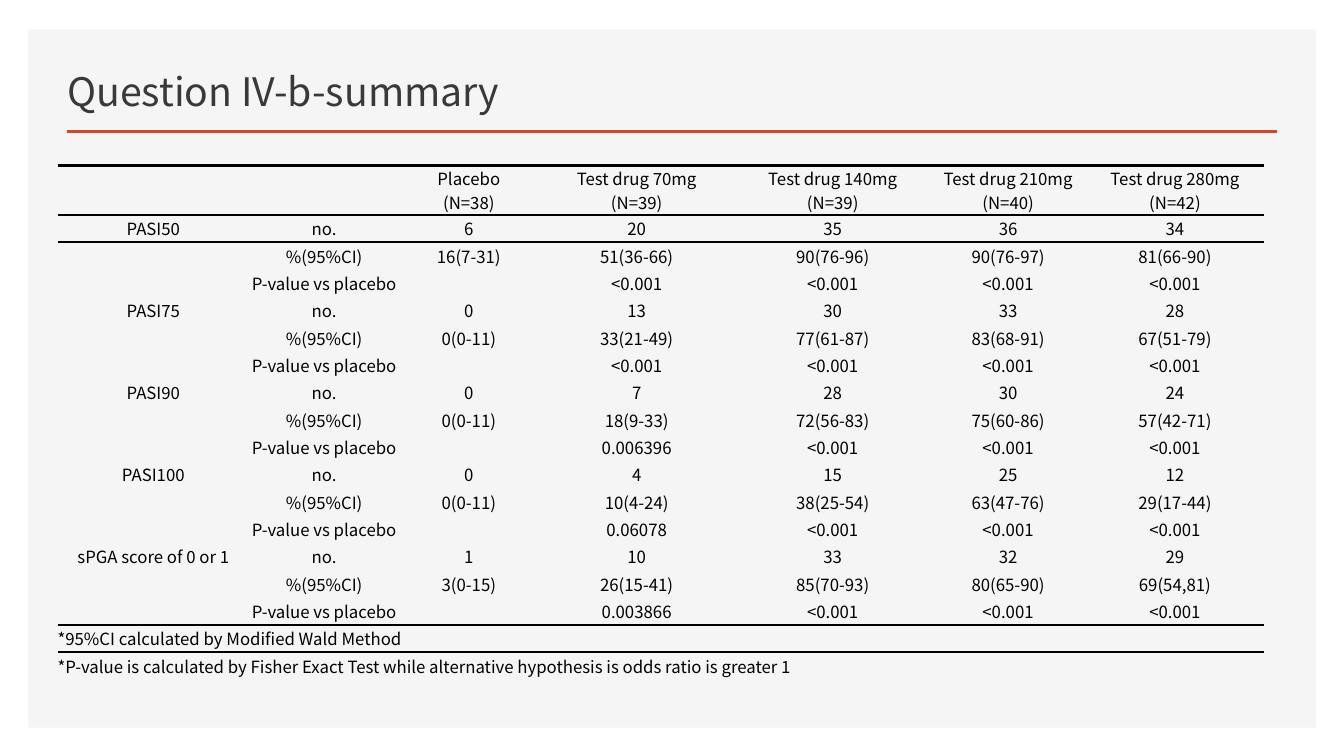
from dataclasses import dataclass

from lxml.etree import SubElement
from pptx import Presentation
from pptx.dml.color import RGBColor
from pptx.enum.shapes import MSO_CONNECTOR, MSO_SHAPE
from pptx.enum.text import MSO_ANCHOR, PP_ALIGN
from pptx.oxml import parse_xml
from pptx.oxml.ns import nsdecls, qn
from pptx.util import Cm, Pt


@dataclass(frozen=True)
class Theme:
    """Font, colours and type sizes of the slide."""
    font: str = "Noto Sans CJK SC"
    panel: str = "F5F5F5"
    accent: str = "D24726"
    title: str = "3B3838"
    ink: str = "000000"
    title_size: int = 28
    table_size: int = 12


THEME = Theme()
NO_STYLE = "{2D5ABB26-0587-4C30-8999-92F81FD0307C}"
COLUMN_WIDTHS = (4.83, 3.78, 3.51, 4.95, 4.93, 3.91, 4.5)
HEADER_HEIGHT, ROW_HEIGHT = 1.24, 0.69
HEADER = ("", "", "Placebo\n(N=38)", "Test drug 70mg\n(N=39)", "Test drug 140mg\n(N=39)",
          "Test drug 210mg\n(N=40)", "Test drug 280mg\n(N=42)")
MEASURES = ("no.", "%(95%CI)", "P-value vs placebo")
LOW = "<0.001"
OUTCOMES = {
    "PASI50": (("6", "20", "35", "36", "34"),
               ("16(7-31)", "51(36-66)", "90(76-96)", "90(76-97)", "81(66-90)"),
               ("", LOW, LOW, LOW, LOW)),
    "PASI75": (("0", "13", "30", "33", "28"),
               ("0(0-11)", "33(21-49)", "77(61-87)", "83(68-91)", "67(51-79)"),
               ("", LOW, LOW, LOW, LOW)),
    "PASI90": (("0", "7", "28", "30", "24"),
               ("0(0-11)", "18(9-33)", "72(56-83)", "75(60-86)", "57(42-71)"),
               ("", "0.006396", LOW, LOW, LOW)),
    "PASI100": (("0", "4", "15", "25", "12"),
                ("0(0-11)", "10(4-24)", "38(25-54)", "63(47-76)", "29(17-44)"),
                ("", "0.06078", LOW, LOW, LOW)),
    "sPGA score of 0 or 1": (("1", "10", "33", "32", "29"),
                             ("3(0-15)", "26(15-41)", "85(70-93)", "80(65-90)", "69(54,81)"),
                             ("", "0.003866", LOW, LOW, LOW)),
}
FOOTNOTES = (
    ("*95%CI calculated by Modified Wald Method", 4),
    ("*P-value is calculated by Fisher Exact Test while alternative hypothesis "
     "is odds ratio is greater 1", 5),
)


def add_run(p, text, size, color):
    """Add one styled run to a paragraph."""
    r = p.add_run()
    r.text = text
    r.font.name = THEME.font
    r.font.size = Pt(size)
    r.font.color.rgb = RGBColor.from_string(color)
    SubElement(r.font._element, qn("a:ea")).set("typeface", THEME.font)


def add_panel(s):
    """Add the pale panel behind the content."""
    sp = s.shapes.add_shape(MSO_SHAPE.RECTANGLE, Cm(0.71), Cm(0.74), Cm(32.46), Cm(17.6))
    sp.shadow.inherit = False
    sp.fill.solid()
    sp.fill.fore_color.rgb = RGBColor.from_string(THEME.panel)
    sp.line.fill.background()


def add_title(s, text):
    """Add the slide title."""
    tf = s.shapes.add_textbox(Cm(1.45), Cm(1.24), Cm(19.1), Cm(1.78)).text_frame
    tf.word_wrap = True
    tf.vertical_anchor = MSO_ANCHOR.BOTTOM
    add_run(tf.paragraphs[0], text, THEME.title_size, THEME.title)


def add_rule(s):
    """Add the accent line under the title."""
    line = s.shapes.add_connector(MSO_CONNECTOR.STRAIGHT, Cm(1.68), Cm(3.32), Cm(32.18), Cm(3.32))
    line.line.color.rgb = RGBColor.from_string(THEME.accent)
    line.line.width = Pt(2)
    SubElement(line._element.spPr, qn("a:effectLst"))


def set_border(cell, side, width):
    """Draw one border of a cell, side being T or B."""
    cell._tc.get_or_add_tcPr().insert(0, parse_xml(
        f'<a:ln{side} {nsdecls("a")} w="{Pt(width)}"><a:solidFill>'
        f'<a:srgbClr val="{THEME.ink}"/></a:solidFill></a:ln{side}>'))


def fill_cell(cell, text, align=PP_ALIGN.CENTER):
    """Write the lines of a cell without margins."""
    cell.fill.background()
    cell.margin_left = cell.margin_right = cell.margin_top = cell.margin_bottom = 0
    cell.vertical_anchor = MSO_ANCHOR.MIDDLE
    tf = cell.text_frame
    for i, line in enumerate(text.split("\n")):
        p = tf.paragraphs[0] if i == 0 else tf.add_paragraph()
        p.alignment = align
        if line:
            add_run(p, line, THEME.table_size, THEME.ink)
        else:
            SubElement(p._p, qn("a:endParaRPr")).set("sz", str(THEME.table_size * 100))


def table_rows():
    """Return the texts of all rows, header and footnotes included."""
    rows = [HEADER]
    for outcome, results in OUTCOMES.items():
        for i, (measure, values) in enumerate(zip(MEASURES, results)):
            rows.append((outcome if i == 0 else "", measure, *values))
    blanks = ("",) * (len(HEADER) - 1)
    return rows + [(note, *blanks) for note, _ in FOOTNOTES]


def add_results_table(s):
    """Add the results table with its three rules and merged footnotes."""
    rows = table_rows()
    first_note = len(rows) - len(FOOTNOTES)
    height = HEADER_HEIGHT + ROW_HEIGHT * (len(rows) - 1)
    table = s.shapes.add_table(len(rows), len(HEADER), Cm(1.45), Cm(4.17),
                               Cm(sum(COLUMN_WIDTHS)), Cm(height)).table
    table.first_row = table.horz_banding = False
    table._tbl.tblPr.find(qn("a:tableStyleId")).text = NO_STYLE
    for column, width in zip(table.columns, COLUMN_WIDTHS):
        column.width = Cm(width)
    for i, texts in enumerate(rows):
        table.rows[i].height = Cm(HEADER_HEIGHT if i == 0 else ROW_HEIGHT)
        align = PP_ALIGN.LEFT if i >= first_note else PP_ALIGN.CENTER
        for j, text in enumerate(texts):
            fill_cell(table.cell(i, j), text, align)
    for i, (_, span) in enumerate(FOOTNOTES, first_note):
        table.cell(i, 0).merge(table.cell(i, span - 1))
    rules = ((0, "B", 1.5), (0, "T", 2), (1, "T", 1.5), (first_note - 1, "B", 2), (first_note, "T", 2))
    for i, side, width in rules:
        for j in range(len(HEADER)):
            set_border(table.cell(i, j), side, width)


def main():
    """Build the slide and save it."""
    prs = Presentation()
    prs.slide_width, prs.slide_height = Cm(33.87), Cm(19.05)
    s = prs.slides.add_slide(prs.slide_layouts[6])
    add_panel(s)
    add_rule(s)
    add_title(s, "Question IV-b-summary")
    add_results_table(s)
    prs.save("out.pptx")


if __name__ == "__main__":
    main()
